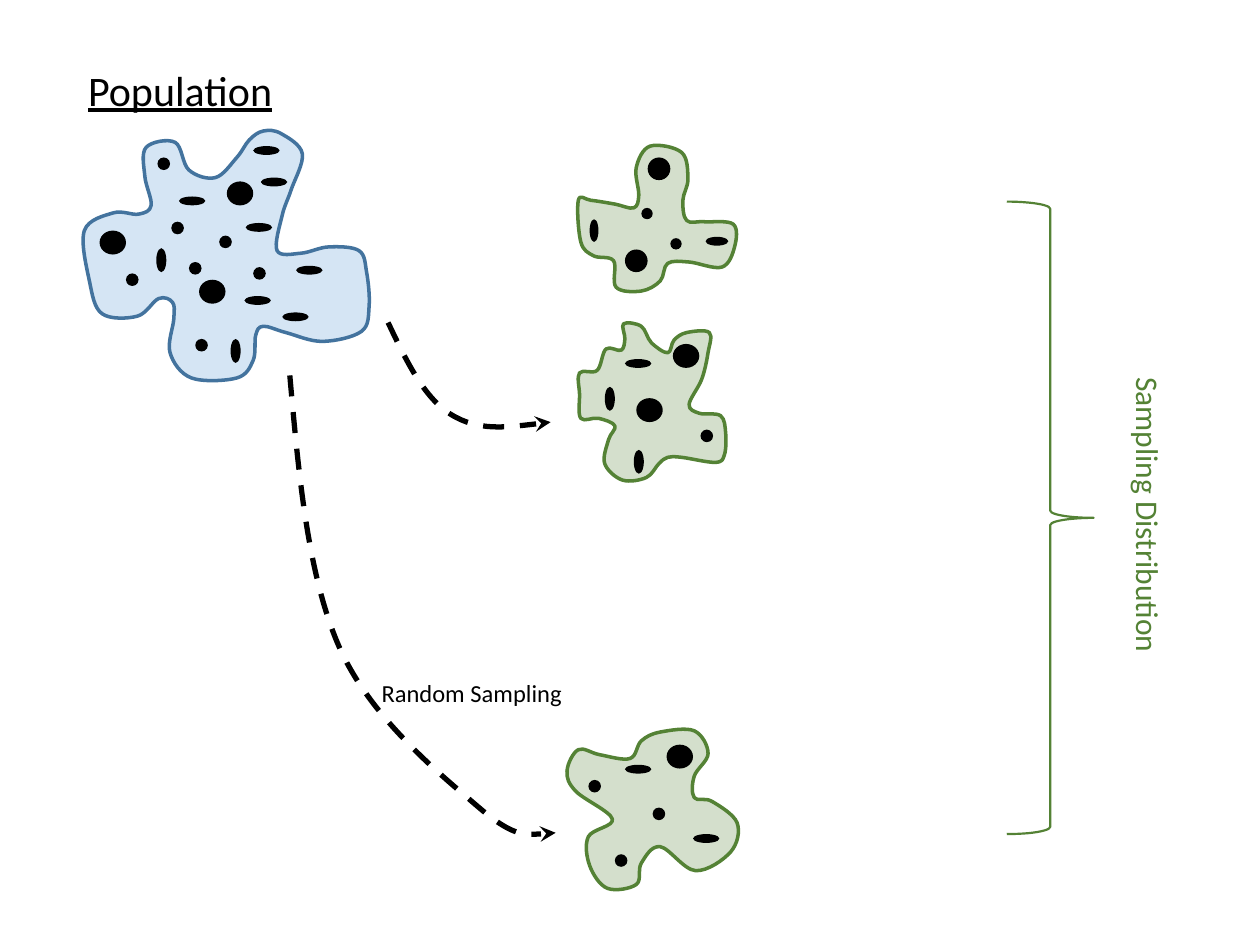
from dataclasses import dataclass

from lxml.etree import SubElement
from pptx import Presentation
from pptx.dml.color import RGBColor
from pptx.enum.dml import MSO_LINE
from pptx.enum.shapes import MSO_SHAPE
from pptx.enum.text import MSO_AUTO_SIZE
from pptx.oxml.ns import qn
from pptx.util import Cm, Pt

BLACK = RGBColor(0x00, 0x00, 0x00)
BLUE = RGBColor(0x5B, 0x9B, 0xD5)
DARK_BLUE = RGBColor(0x43, 0x73, 0x9E)
GREEN = RGBColor(0x54, 0x82, 0x35)
CM_PER_INCH = 2.54

Point = tuple[float, float]


@dataclass(frozen=True)
class SpotSizes:
    dot: Point
    disc: Point
    tall: Point
    wide: Point


@dataclass(frozen=True)
class Blob:
    fill: RGBColor
    line: RGBColor
    knots: list[Point]
    sizes: SpotSizes
    spots: dict[str, list[Point]]


REGULAR = SpotSizes((0.1, 0.1), (0.21, 0.19), (0.08, 0.19), (0.21, 0.07))
SMALL = SpotSizes((0.09, 0.09), (0.18, 0.18), (0.07, 0.18), (0.18, 0.07))

POPULATION = Blob(BLUE, DARK_BLUE, [
    (0.9, 1.69), (1.1, 1.7), (1.2, 1.63), (1.15, 1.4), (1.16, 1.17),
    (1.39, 1.13), (1.5, 1.35), (1.71, 1.41), (1.88, 1.25), (1.98, 1.11),
    (2.09, 1.04), (2.23, 1.06), (2.4, 1.22), (2.31, 1.51), (2.24, 1.71),
    (2.2, 1.99), (2.39, 2.01), (2.61, 1.96), (2.85, 1.99), (2.91, 2.16),
    (2.93, 2.43), (2.87, 2.63), (2.56, 2.71), (2.27, 2.64), (2.09, 2.59),
    (2.03, 2.66), (2.01, 2.86), (1.88, 3), (1.52, 3), (1.35, 2.8),
    (1.38, 2.53), (1.37, 2.4), (1.26, 2.37), (1.09, 2.51), (0.81, 2.49),
    (0.71, 2.23), (0.67, 1.83),
], REGULAR, {
    "dot": [(1.25, 1.25), (2.01, 2.12), (1.5, 2.08), (1.74, 1.87),
            (1.36, 1.76), (1.55, 2.69), (1, 2.17)],
    "disc": [(0.79, 1.83), (1.58, 2.22), (1.8, 1.44)],
    "tall": [(1.24, 1.97), (1.83, 2.69)],
    "wide": [(2.35, 2.11), (2.24, 2.48), (2.01, 1.16), (1.42, 1.56),
             (1.95, 1.77), (1.94, 2.35), (2.07, 1.41)],
})

SAMPLES = [
    Blob(GREEN, GREEN, [
        (4.69, 1.59), (4.88, 1.62), (5.03, 1.65), (5.07, 1.55), (5.05, 1.33),
        (5.16, 1.16), (5.41, 1.21), (5.46, 1.42), (5.42, 1.59), (5.45, 1.75),
        (5.59, 1.76), (5.82, 1.78), (5.83, 1.96), (5.73, 2.12), (5.47, 2.08),
        (5.3, 2.09), (5.24, 2.23), (5.09, 2.31), (4.89, 2.28), (4.87, 2.07),
        (4.71, 2.03), (4.61, 1.92), (4.59, 1.59),
    ], SMALL, {
        "dot": [(5.32, 1.89), (5.09, 1.65)],
        "disc": [(4.96, 1.98), (5.14, 1.25)],
        "tall": [(4.68, 1.74)],
        "wide": [(5.6, 1.88)],
    }),
    Blob(GREEN, GREEN, [
        (4.81, 2.77), (4.93, 2.78), (4.96, 2.69), (4.95, 2.57), (5.09, 2.59),
        (5.17, 2.72), (5.3, 2.8), (5.35, 2.7), (5.45, 2.64), (5.63, 2.64),
        (5.62, 2.8), (5.57, 3.01), (5.47, 3.21), (5.55, 3.28), (5.72, 3.3),
        (5.76, 3.44), (5.75, 3.61), (5.68, 3.67), (5.41, 3.63), (5.3, 3.63),
        (5.23, 3.68), (5.13, 3.79), (4.94, 3.81), (4.8, 3.68), (4.83, 3.49),
        (4.88, 3.38), (4.75, 3.32), (4.61, 3.32), (4.6, 3.13), (4.6, 2.96),
        (4.74, 2.94),
    ], REGULAR, {
        "dot": [(5.56, 3.41)],
        "disc": [(5.05, 3.16), (5.34, 2.73)],
        "tall": [(4.8, 3.07), (5.03, 3.57)],
        "wide": [(4.96, 2.85)],
    }),
    Blob(GREEN, GREEN, [
        (4.57, 6.28), (4.5, 6.12), (4.59, 5.95), (4.76, 5.99), (5, 6.02),
        (5.09, 5.88), (5.24, 5.81), (5.51, 5.8), (5.62, 5.98), (5.51, 6.16),
        (5.51, 6.33), (5.65, 6.36), (5.85, 6.53), (5.8, 6.76), (5.52, 6.91),
        (5.24, 6.72), (5.09, 6.85), (5.05, 7.02), (4.82, 7.05), (4.68, 6.87),
        (4.67, 6.64), (4.86, 6.5),
    ], REGULAR, {
        "dot": [(5.18, 6.41), (4.88, 6.78), (4.67, 6.19)],
        "disc": [(5.29, 5.91)],
        "wide": [(4.96, 6.07), (5.5, 6.62)],
    }),
]

ARROWS = [
    [(3.08, 2.56), (3.58, 3.29), (4.37, 3.35)],
    [(2.3, 2.98), (2.69, 5.13), (3.79, 6.4), (4.41, 6.61)],
]


def length(inches: float) -> Cm:
    return Cm(inches * CM_PER_INCH)


def control_points(knots: list[Point], i: int, closed: bool) -> tuple[Point, Point]:
    n = len(knots)
    start, end = knots[i], knots[(i + 1) % n]
    before, after = knots[i - 1], knots[(i + 2) % n]
    c1 = tuple(s + (e - b) / 6 for s, e, b in zip(start, end, before))
    c2 = tuple(e - (a - s) / 6 for s, e, a in zip(start, end, after))
    if not closed and i == 0:
        c1 = tuple((s + c) / 2 for s, c in zip(start, c2))
    if not closed and i == n - 2:
        c2 = tuple((e + c) / 2 for e, c in zip(end, c1))
    return c1, c2


def add_curve(shapes, knots: list[Point], closed: bool):
    emu = [(length(x), length(y)) for x, y in knots]
    builder = shapes.build_freeform(*emu[0], scale=1.0)
    builder.add_line_segments(emu[1:] + emu[:1] if closed else emu[1:], close=closed)
    sp = builder.convert_to_shape()
    left, top = min(x for x, _ in emu), min(y for _, y in emu)
    for i, segment in enumerate(sp._element.xpath(".//a:lnTo")):
        segment.tag = qn("a:cubicBezTo")
        for k, (x, y) in enumerate(control_points(emu, i, closed)):
            pt = segment.makeelement(qn("a:pt"), x=str(round(x - left)), y=str(round(y - top)))
            segment.insert(k, pt)
    sp.shadow.inherit = False
    return sp


def add_blob(shapes, blob: Blob) -> None:
    group = shapes.add_group_shape().shapes
    sp = add_curve(group, blob.knots, closed=True)
    sp.fill.solid()
    sp.fill.fore_color.rgb = blob.fill
    SubElement(sp._element.xpath("./p:spPr/a:solidFill/a:srgbClr")[0], qn("a:alpha"), val="25000")
    sp.line.color.rgb = blob.line
    sp.line.width = Pt(2)
    for kind, places in blob.spots.items():
        size = getattr(blob.sizes, kind)
        for place in places:
            spot = group.add_shape(MSO_SHAPE.OVAL, *map(length, place + size))
            spot.shadow.inherit = False
            spot.fill.solid()
            spot.fill.fore_color.rgb = BLACK
            spot.line.fill.background()


def add_arrow(shapes, knots: list[Point]) -> None:
    sp = add_curve(shapes, knots, closed=False)
    sp.fill.background()
    sp.line.color.rgb = BLACK
    sp.line.width = Pt(3)
    sp.line.dash_style = MSO_LINE.DASH
    SubElement(sp.line._get_or_add_ln(), qn("a:tailEnd"), type="stealth")


def add_text(shapes, text: str, *, at: tuple[float, ...], size: int,
             color: RGBColor = BLACK, underline: bool = False, rotation: float = 0) -> None:
    sp = shapes.add_textbox(*map(length, at))
    sp.rotation = rotation
    tf = sp.text_frame
    tf.word_wrap = False
    tf.auto_size = MSO_AUTO_SIZE.SHAPE_TO_FIT_TEXT
    r = tf.paragraphs[0].add_run()
    r.text = text
    r.font.name = "Calibri"
    r.font.size = Pt(size)
    r.font.color.rgb = color
    if underline:
        r.font.underline = True


def add_brace(shapes) -> None:
    sp = shapes.add_shape(MSO_SHAPE.RIGHT_BRACE, *map(length, (7.99, 1.6, 0.69, 5.02)))
    sp.shadow.inherit = False
    sp.fill.background()
    sp.line.color.rgb = GREEN
    sp.line.width = Pt(1.25)


def main() -> None:
    prs = Presentation()
    prs.slide_width, prs.slide_height = Cm(25.4), Cm(19.05)
    s = prs.slides.add_slide(prs.slide_layouts[6])
    add_blob(s.shapes, POPULATION)
    add_text(s.shapes, "Population", at=(0.6, 0.46, 1.68, 0.5), size=24, underline=True)
    for sample in SAMPLES:
        add_blob(s.shapes, sample)
    for knots in ARROWS:
        add_arrow(s.shapes, knots)
    add_text(s.shapes, "Random Sampling", at=(2.93, 5.33, 1.64, 0.34), size=14)
    add_brace(s.shapes)
    add_text(s.shapes, "Sampling Distribution", at=(7.91, 3.9, 2.41, 0.4), size=18,
             color=GREEN, rotation=90)
    prs.save("out.pptx")


if __name__ == "__main__":
    main()
